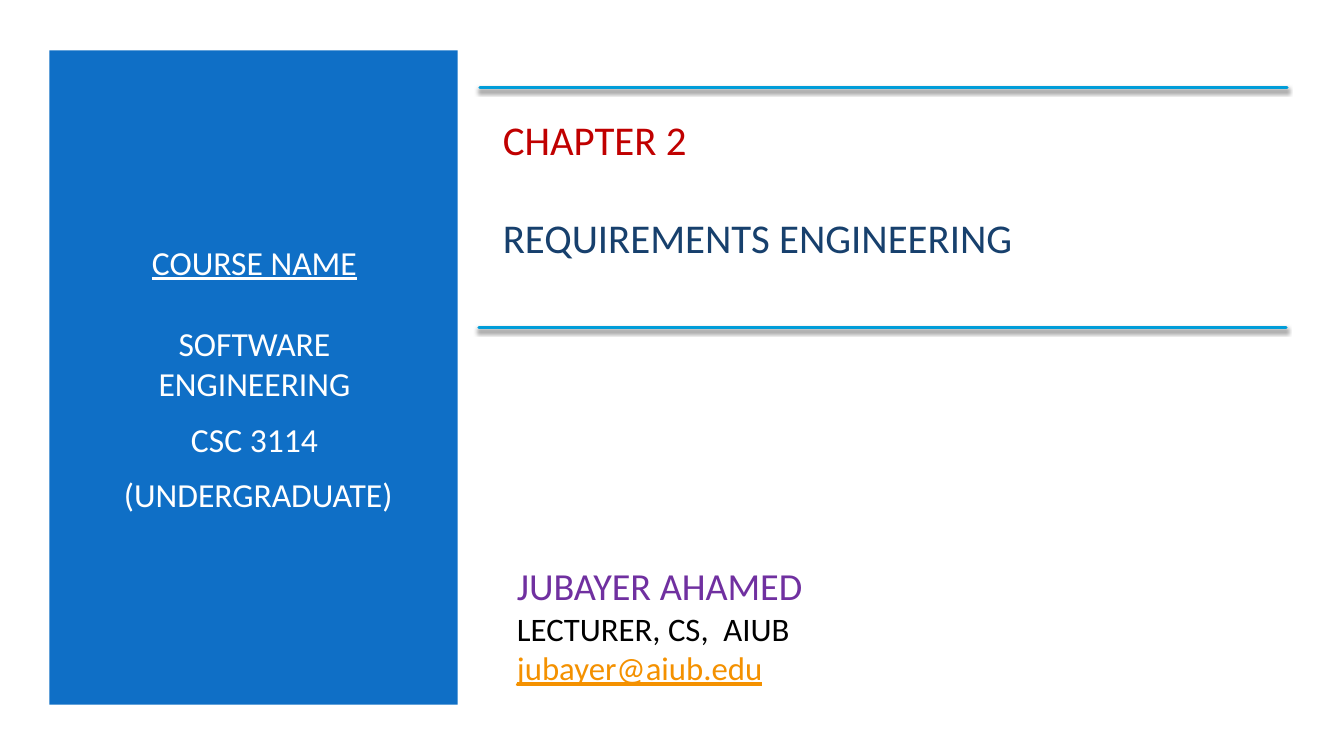
from dataclasses import dataclass

from lxml import etree
from pptx import Presentation
from pptx.dml.color import RGBColor
from pptx.enum.shapes import MSO_CONNECTOR, MSO_SHAPE
from pptx.enum.text import MSO_ANCHOR, PP_ALIGN
from pptx.oxml import parse_xml
from pptx.oxml.ns import nsdecls
from pptx.slide import Slide
from pptx.util import Pt

RECT = MSO_SHAPE.RECTANGLE
STRAIGHT = MSO_CONNECTOR.STRAIGHT
MIDDLE = MSO_ANCHOR.MIDDLE
LEFT = PP_ALIGN.LEFT
CENTER = PP_ALIGN.CENTER

WHITE = RGBColor(0xFF, 0xFF, 0xFF)
BLACK = RGBColor(0x00, 0x00, 0x00)
BLUE = RGBColor(0x0F, 0x6F, 0xC6)
CYAN = RGBColor(0x00, 0x9D, 0xD9)
NAVY = RGBColor(0x17, 0x40, 0x6D)
RED = RGBColor(0xC0, 0x00, 0x00)
PURPLE = RGBColor(0x70, 0x30, 0xA0)
ORANGE = RGBColor(0xF4, 0x91, 0x00)

FONT = "Calibri"
RULE_LENGTH = 576.7


@dataclass(frozen=True)
class Line:
    text: str
    size: float
    color: RGBColor
    underline: bool = False
    before: float = 0
    after: float = 0


@dataclass(frozen=True)
class Block:
    left: float
    top: float
    width: float
    height: float
    lines: tuple[Line, ...]
    align: PP_ALIGN = LEFT


@dataclass(frozen=True)
class Rule:
    left: float
    top: float


BLOCKS = (
    Block(60.5, 81, 242.6, 378, (
        Line("COURSE NAME", 24, WHITE, underline=True),
        Line("SOFTWARE ENGINEERING", 24, WHITE, before=29.3, after=6),
        Line("CSC 3114", 24, WHITE, before=4.8, after=6),
        Line(" (UNDERGRADUATE)", 24, WHITE, before=4.8),
    ), CENTER),
    Block(352.1, 80, 565.2, 108.7, (
        Line("CHAPTER 2", 29.2, RED),
        Line("REQUIREMENTS ENGINEERING", 29.2, NAVY, before=35.6),
    )),
    Block(362.2, 390.3, 479.5, 112.3, (
        Line("JUBAYER AHAMED", 27.3, PURPLE),
        Line("LECTURER, CS,  AIUB", 23.4, BLACK),
        Line("jubayer@aiub.edu", 23.4, ORANGE, underline=True),
    )),
)
RULES = (Rule(342.7, 62.6), Rule(342, 234))


def add_panel(s: Slide, left: float, top: float, width: float, height: float) -> None:
    sp = s.shapes.add_shape(RECT, Pt(left), Pt(top), Pt(width), Pt(height))
    sp.shadow.inherit = False
    sp.fill.solid()
    sp.fill.fore_color.rgb = BLUE
    sp.line.fill.background()


def write_text(p, text: str, *, size: float, color: RGBColor, underline: bool) -> None:
    r = p.add_run()
    r.text = text
    r.font.name = FONT
    r.font.size = Pt(size)
    r.font.color.rgb = color
    r.font.underline = underline


def add_block(s: Slide, block: Block) -> None:
    sp = s.shapes.add_textbox(
        Pt(block.left), Pt(block.top), Pt(block.width), Pt(block.height)
    )
    tf = sp.text_frame
    tf.word_wrap = True
    tf.vertical_anchor = MIDDLE
    for i, line in enumerate(block.lines):
        p = tf.add_paragraph() if i else tf.paragraphs[0]
        p.alignment = block.align
        p.space_before = Pt(line.before)
        p.space_after = Pt(line.after)
        write_text(
            p, line.text, size=line.size, color=line.color, underline=line.underline
        )


def add_rule(s: Slide, rule: Rule) -> None:
    sp = s.shapes.add_connector(
        STRAIGHT, Pt(rule.left), Pt(rule.top), Pt(rule.left + RULE_LENGTH), Pt(rule.top)
    )
    sp.line.color.rgb = CYAN
    sp.line.width = Pt(2)
    sp.line._get_or_add_ln().set("cap", "rnd")
    effects = parse_xml(f"<a:effectLst {nsdecls('a')}/>")
    shadow = etree.SubElement(
        effects, f"{{{effects.nsmap['a']}}}outerShdw",
        blurRad=str(Pt(3)), dist=str(Pt(2)), dir="5400000", rotWithShape="0",
    )
    color = etree.SubElement(
        shadow, f"{{{effects.nsmap['a']}}}srgbClr", val=str(BLACK)
    )
    etree.SubElement(color, f"{{{effects.nsmap['a']}}}alpha", val="55000")
    sp._element.spPr.append(effects)


def main() -> None:
    prs = Presentation()
    prs.slide_width = Pt(960)
    prs.slide_height = Pt(540)
    s = prs.slides.add_slide(prs.slide_layouts[6])
    add_panel(s, 35.3, 36, 291.6, 467.3)
    for block in BLOCKS:
        add_block(s, block)
    for rule in RULES:
        add_rule(s, rule)
    prs.save("out.pptx")


if __name__ == "__main__":
    main()
